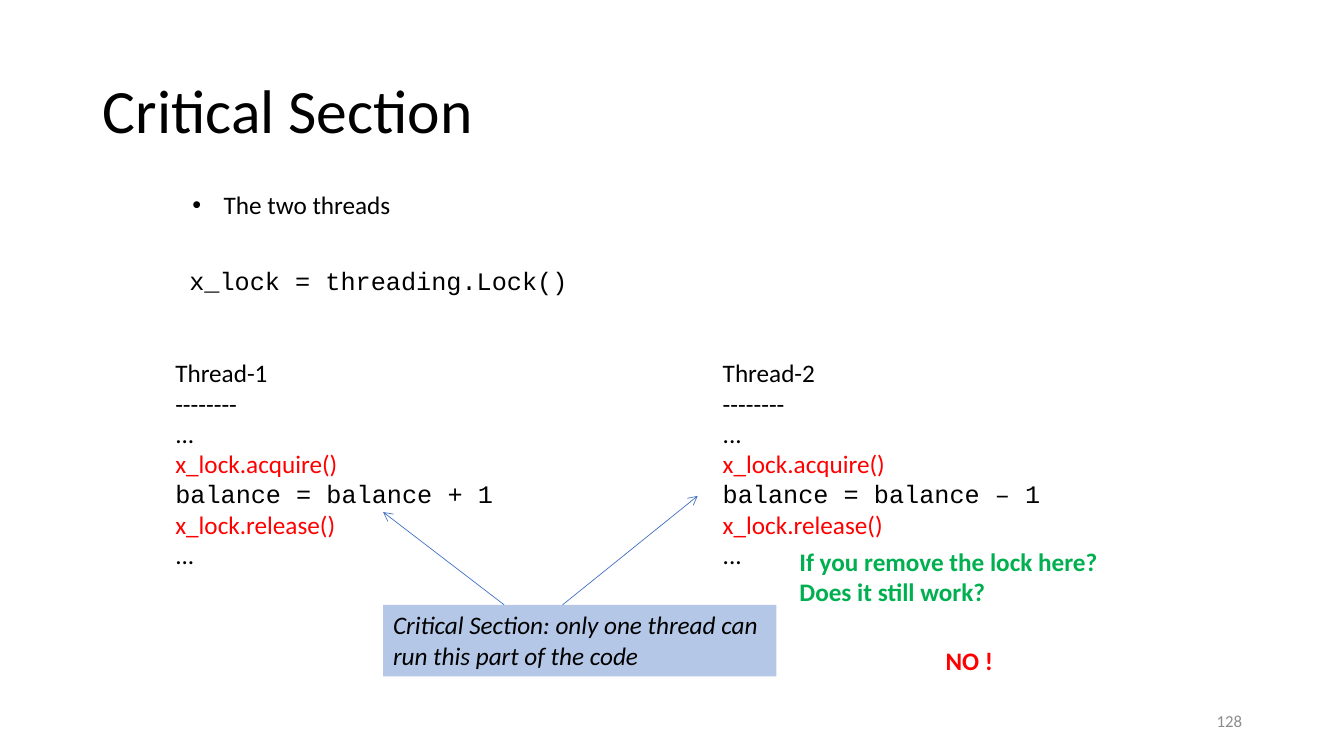
from lxml import etree
from pptx import Presentation
from pptx.dml.color import RGBColor
from pptx.enum.shapes import MSO_CONNECTOR, MSO_SHAPE
from pptx.enum.text import MSO_ANCHOR, MSO_AUTO_SIZE, PP_ALIGN
from pptx.oxml.ns import qn
from pptx.util import Inches, Pt

LEFT, RIGHT = PP_ALIGN.LEFT, PP_ALIGN.RIGHT
TOP, MIDDLE = MSO_ANCHOR.TOP, MSO_ANCHOR.MIDDLE
FIT_SHAPE, NO_FIT = MSO_AUTO_SIZE.SHAPE_TO_FIT_TEXT, MSO_AUTO_SIZE.NONE
RECTANGLE, STRAIGHT = MSO_SHAPE.RECTANGLE, MSO_CONNECTOR.STRAIGHT

BLACK = RGBColor(0x00, 0x00, 0x00)
GRAY = RGBColor(0x8C, 0x8C, 0x8C)
RED = RGBColor(0xFF, 0x00, 0x00)
GREEN = RGBColor(0x00, 0xB0, 0x50)
BLUE = RGBColor(0x44, 0x72, 0xC4)
LIGHT_BLUE = RGBColor(0xB4, 0xC7, 0xE7)

BODY_FONT, CODE_FONT = "Calibri", "Courier New"
TITLE_ONLY_LAYOUT = 5


class SlideBuilder:
    """Holds the text style and the current slide."""

    def __init__(self, presentation, font=BODY_FONT, size=18):
        self.slide = presentation.slides.add_slide(
            presentation.slide_layouts[TITLE_ONLY_LAYOUT])
        self.font = font
        self.size = size

    def fill_text(self, shape, lines, size=None, align=LEFT, anchor=TOP,
                  wrap=True, fit=FIT_SHAPE, bold=False, italic=False):
        """Fill a shape with lines given as (text, color, font)."""
        frame = shape.text_frame
        frame.word_wrap = wrap
        frame.auto_size = fit
        frame.vertical_anchor = anchor
        for index, (text, color, font) in enumerate(lines):
            paragraph = frame.paragraphs[0] if index == 0 else frame.add_paragraph()
            paragraph.alignment = align
            run = paragraph.add_run()
            run.text = text
            run.font.name = font or self.font
            run.font.size = Pt(size or self.size)
            run.font.color.rgb = color
            run.font.bold = bold
            run.font.italic = italic
        return shape

    def title(self, box, text):
        shape = self.slide.shapes.title
        shape.left, shape.top, shape.width, shape.height = map(Inches, box)
        self.fill_text(shape, [(text, BLACK, None)], size=44, anchor=MIDDLE, fit=NO_FIT)
        shape.text_frame.paragraphs[0].line_spacing = 0.9

    def text(self, box, lines, **style):
        shape = self.slide.shapes.add_textbox(*map(Inches, box))
        return self.fill_text(shape, lines, **style)

    def bullet(self, box, text):
        shape = self.text(box, [(text, BLACK, None)], wrap=False)
        properties = shape.text_frame.paragraphs[0]._p.get_or_add_pPr()
        properties.set("marL", str(Inches(0.31)))
        properties.set("indent", str(Inches(-0.31)))
        etree.SubElement(properties, qn("a:buFont")).set("typeface", "Arial")
        etree.SubElement(properties, qn("a:buChar")).set("char", "•")

    def callout(self, box, text):
        shape = self.slide.shapes.add_shape(RECTANGLE, *map(Inches, box))
        shape.shadow.inherit = False
        shape.fill.solid()
        shape.fill.fore_color.rgb = LIGHT_BLUE
        shape.line.fill.background()
        self.fill_text(shape, [(text, BLACK, None)], italic=True)

    def arrow(self, start, end):
        connector = self.slide.shapes.add_connector(
            STRAIGHT, *map(Inches, start + end))
        connector.line.color.rgb = BLUE
        connector.line.width = Pt(0.5)
        line = connector.line._get_or_add_ln()
        etree.SubElement(line, qn("a:tailEnd")).set("type", "arrow")
        etree.SubElement(connector._element.spPr, qn("a:effectLst"))


def thread_lines(number, operator):
    return [
        (f"Thread-{number}", BLACK, None),
        ("--------", BLACK, None),
        ("...", BLACK, None),
        ("x_lock.acquire()", RED, None),
        (f"balance = balance {operator} 1", BLACK, CODE_FONT),
        ("x_lock.release()", RED, None),
        ("...", BLACK, None),
    ]


def main():
    presentation = Presentation()
    presentation.slide_width = Inches(13.33)
    presentation.slide_height = Inches(7.5)
    builder = SlideBuilder(presentation)

    # Title and page number
    builder.title((0.92, 0.4, 11.5, 1.45), "Critical Section")
    builder.text((9.42, 6.95, 3, 0.4), [("128", GRAY, None)],
                 size=12, align=RIGHT, anchor=MIDDLE, fit=NO_FIT)

    # Introduction and shared lock
    builder.bullet((1.81, 1.83, 2.19, 0.4), "The two threads")
    builder.text((1.78, 2.58, 3.97, 0.4),
                 [("x_lock = threading.Lock()", BLACK, CODE_FONT)], wrap=False)

    # Code of the two threads
    for number, left, operator in ((1, 1.64, "+"), (2, 7.07, "–")):
        builder.text((left, 3.5, 5, 2.22), thread_lines(number, operator))

    # Critical section callout with arrows to both threads
    builder.callout((3.8, 6, 3.9, 0.71),
                    "Critical Section: only one thread can run this part of the code")
    builder.arrow((5, 6), (3.8, 5.08))
    builder.arrow((5.58, 6), (6.92, 4.92))

    # Question and answer
    builder.text((7.83, 5.37, 3.18, 0.71),
                 [("If you remove the lock here?", GREEN, None),
                  ("Does it still work?", GREEN, None)], wrap=False, bold=True)
    builder.text((9.28, 6.35, 0.68, 0.4), [("NO !", RED, None)],
                 wrap=False, bold=True)

    presentation.save("out.pptx")


if __name__ == "__main__":
    main()
